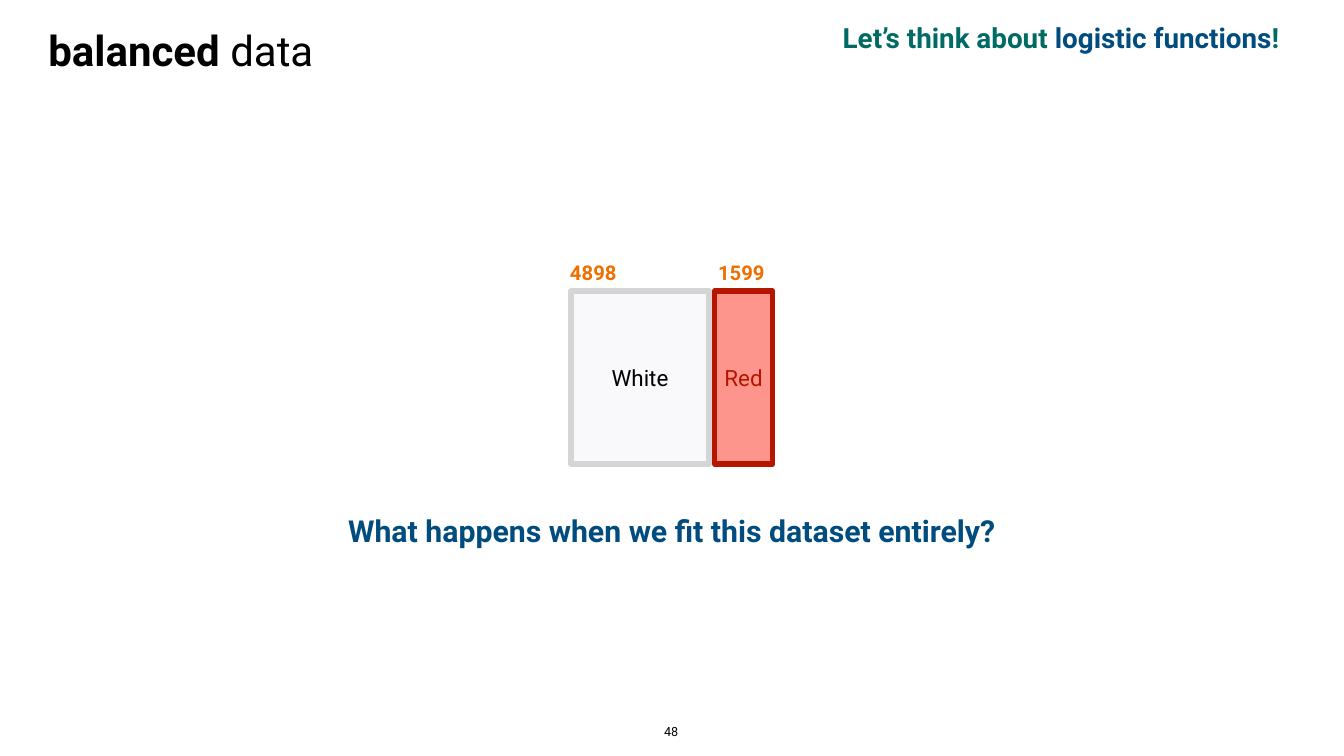
from pptx import Presentation
from pptx.dml.color import RGBColor
from pptx.enum.shapes import MSO_SHAPE
from pptx.enum.text import MSO_ANCHOR, PP_ALIGN
from pptx.util import Cm, Pt

LEFT, CENTER = PP_ALIGN.LEFT, PP_ALIGN.CENTER
MIDDLE, BOTTOM = MSO_ANCHOR.MIDDLE, MSO_ANCHOR.BOTTOM
RECTANGLE = MSO_SHAPE.RECTANGLE

FONT = "Roboto"
INSET = 0.15
COLORS = {
    "black": "000000", "green": "006B64", "blue": "004C7F", "orange": "EF7001",
    "white_fill": "F9F8FA", "white_line": "D5D5D5",
    "red_fill": "FE958C", "red_line": "B41600",
}

# Each run is (text, colour, bold); boxes are left, top, width, height in cm.
TEXTS = [
    {"box": (40.84, 0.97, 25.27, 2.13), "size": 39.7, "spacing": 0.8,
     "runs": [("Let’s think about ", "green", True),
              ("logistic functions", "blue", True),
              ("!", "green", True)]},
    {"box": (16.81, 25.5, 34.11, 2.9), "size": 43.2, "spacing": 0.7,
     "runs": [("What happens when we fit this dataset entirely?", "blue", True)]},
    {"box": (33.32, 36.35, 1.02, 1.04), "size": 18, "anchor": BOTTOM, "wrap": False,
     "runs": [("48", "black", False)]},
    {"box": (1.19, 1.17, 15.85, 2.13), "size": 60, "spacing": 1.2,
     "runs": [("balanced", "black", True), (" data", "black", False)]},
]

# name, count, bar left, bar width, count left, fill, line, text colour
WINES = [
    ("White", "4898", 28.78, 6.96, 28.58, "white_fill", "white_line", "black"),
    ("Red", "1599", 36.02, 2.92, 36.04, "red_fill", "red_line", "red_line"),
]
BAR_TOP, BAR_HEIGHT = 14.68, 8.71
COUNT_TOP, COUNT_WIDTH, COUNT_HEIGHT = 12.85, 2.69, 1.5


def rgb(name):
    return RGBColor.from_string(COLORS[name])


def write(sp, runs, size, spacing=1.0, align=CENTER, anchor=MIDDLE, wrap=True):
    tf = sp.text_frame
    frame = {"word_wrap": wrap, "vertical_anchor": anchor}
    frame.update({f"margin_{side}": Cm(INSET)
                  for side in ("left", "right", "top", "bottom")})
    for name, value in frame.items():
        setattr(tf, name, value)
    p = tf.paragraphs[0]
    p.alignment, p.line_spacing = align, spacing
    for text, color, bold in runs:
        r = p.add_run()
        r.text = text
        for name, value in {"name": FONT, "size": Pt(size), "bold": bold}.items():
            setattr(r.font, name, value)
        r.font.color.rgb = rgb(color)


def add_text(s, box, **style):
    write(s.shapes.add_textbox(*map(Cm, box)), **style)


def add_bar(s, box, label, fill, line, color):
    sp = s.shapes.add_shape(RECTANGLE, *map(Cm, box))
    sp.shadow.inherit = False
    sp.fill.solid()
    sp.fill.fore_color.rgb = rgb(fill)
    sp.line.color.rgb = rgb(line)
    sp.line.width = Pt(8)
    write(sp, [(label, color, False)], 32, wrap=False)


def main():
    prs = Presentation()
    prs.slide_width, prs.slide_height = Cm(67.74), Cm(38.1)
    s = prs.slides.add_slide(prs.slide_layouts[6])
    for name, count, left, width, count_left, fill, line, color in WINES:
        add_bar(s, (left, BAR_TOP, width, BAR_HEIGHT), name, fill, line, color)
        add_text(s, (count_left, COUNT_TOP, COUNT_WIDTH, COUNT_HEIGHT),
                 runs=[(count, "orange", True)], size=29, spacing=1.2,
                 align=LEFT, wrap=False)
    for text in TEXTS:
        add_text(s, **text)
    prs.save("out.pptx")


if __name__ == "__main__":
    main()
